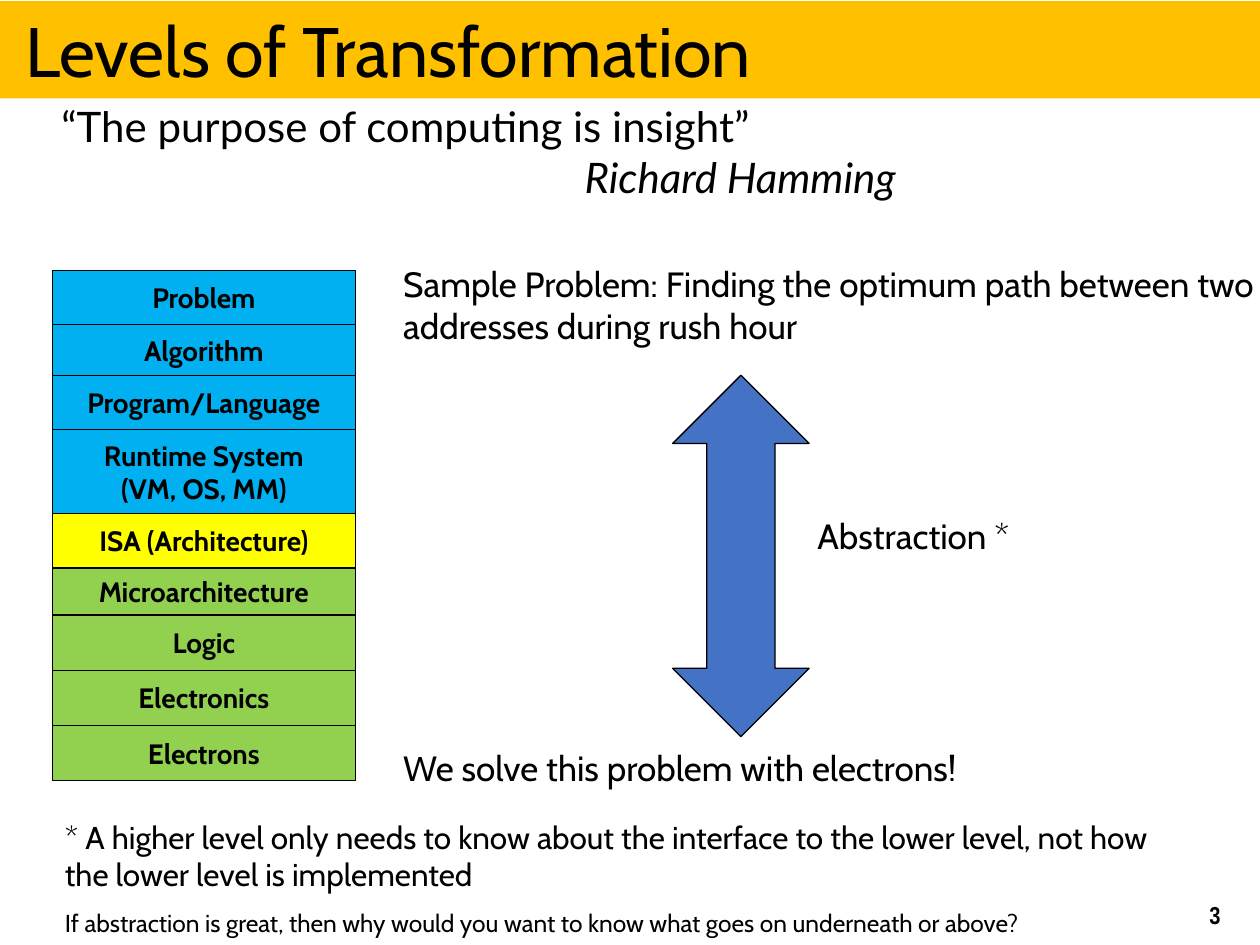
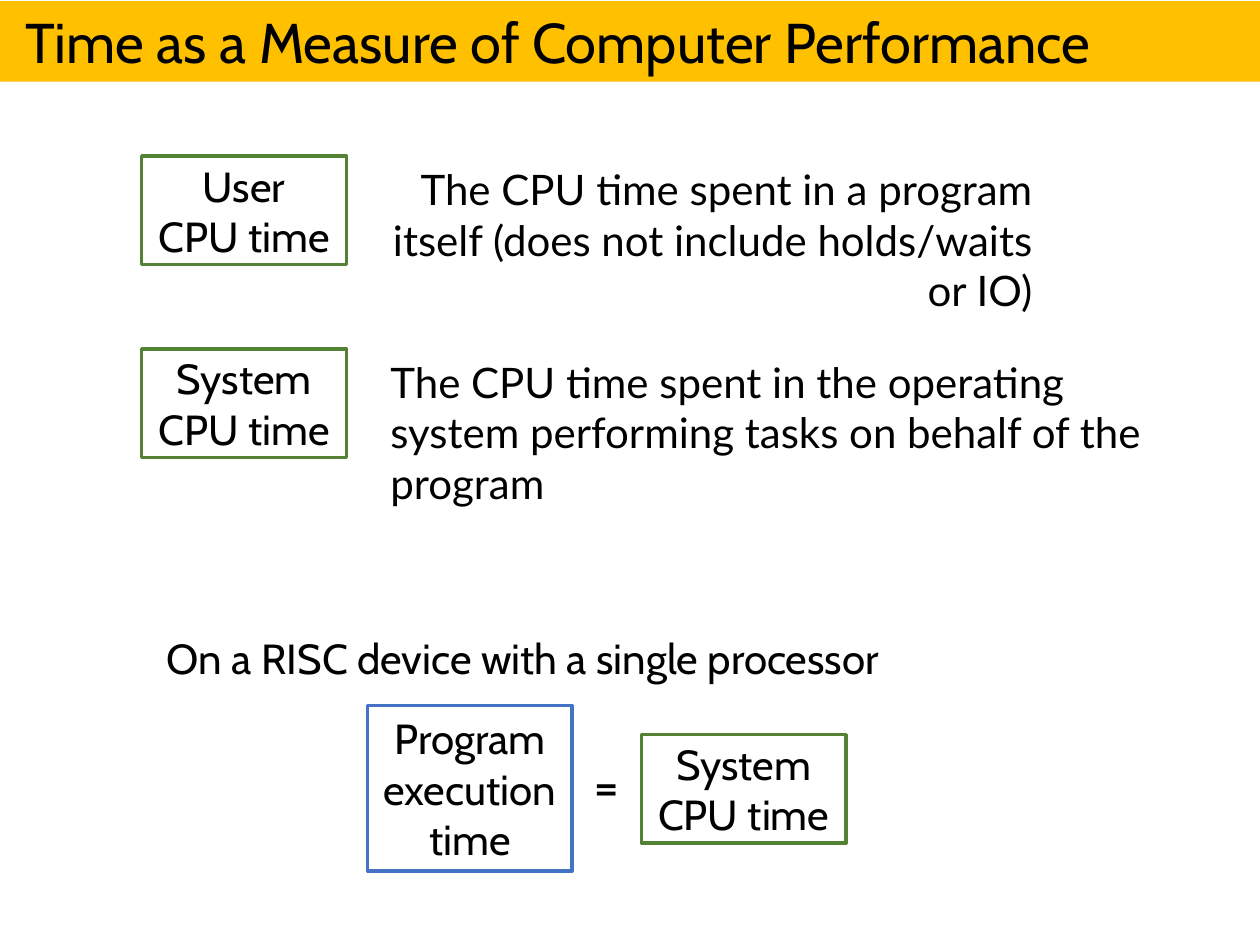
from pptx import Presentation
from pptx.dml.color import RGBColor
from pptx.enum.shapes import MSO_SHAPE
from pptx.enum.text import MSO_ANCHOR, MSO_AUTO_SIZE, PP_ALIGN
from pptx.util import Pt

COLORS = {
    "text": "000000",
    "band": "FFC000",
    "paper": "FFFFFF",
    "software": "00B0F0",
    "interface": "FFFF00",
    "hardware": "92D050",
    "arrow": "4472C4",
    "cpu": "548235",
    "program": "4472C4",
}
HEADING_FONT = "Cabin"
PROSE_FONT = "Lato"
NUMBER_FONT = "Arial Narrow"
PAGE_WIDTH, PAGE_HEIGHT = 720, 540

LEVELS = [
    ("Problem", 31, "software"),
    ("Algorithm", 29, "software"),
    ("Program/Language", 31, "software"),
    ("Runtime System\n(VM, OS, MM)", 48, "software"),
    ("ISA (Architecture)", 31, "interface"),
    ("Microarchitecture", 27, "hardware"),
    ("Logic", 31.5, "hardware"),
    ("Electronics", 31.5, "hardware"),
    ("Electrons", 31.5, "hardware"),
]


def color(name):
    return RGBColor.from_string(COLORS[name])


def write(shape, text, size, font=HEADING_FONT, align=PP_ALIGN.LEFT, bold=False,
          anchor=MSO_ANCHOR.TOP, inset=(7.2, 3.6)):
    frame = shape.text_frame
    frame.text = text
    frame.word_wrap = True
    frame.auto_size = MSO_AUTO_SIZE.NONE
    frame.vertical_anchor = anchor
    frame.margin_left = frame.margin_right = Pt(inset[0])
    frame.margin_top = frame.margin_bottom = Pt(inset[1])
    for para in frame.paragraphs:
        para.alignment = align
        for span in para.runs:
            span.font.name = font
            span.font.size = Pt(size)
            span.font.bold = bold
            span.font.color.rgb = color("text")
    return frame


def add_text(page, box, text, size, **style):
    shape = page.shapes.add_textbox(*map(Pt, box))
    return write(shape, text, size, **style)


def add_block(page, box, fill, line, line_width, kind=MSO_SHAPE.RECTANGLE):
    shape = page.shapes.add_shape(kind, *map(Pt, box))
    shape.shadow.inherit = False
    shape.fill.solid()
    shape.fill.fore_color.rgb = color(fill)
    shape.line.color.rgb = color(line)
    shape.line.width = Pt(line_width)
    return shape


def add_page(deck, title, size, band_height):
    page = deck.slides.add_slide(deck.slide_layouts[5])
    band = page.shapes.title
    band.left, band.top = Pt(0), Pt(0.7)
    band.width, band.height = Pt(PAGE_WIDTH), Pt(band_height)
    band.fill.solid()
    band.fill.fore_color.rgb = color("band")
    write(band, title, size, anchor=MSO_ANCHOR.MIDDLE, inset=(14.4, 3.6))
    return page


def add_quote(page, box):
    frame = add_text(page, box, "“The purpose of computing is insight”\nRichard Hamming",
                     24, font=PROSE_FONT)
    author = frame.paragraphs[1]
    author.alignment = PP_ALIGN.RIGHT
    author.runs[0].font.italic = True


def add_level_stack(page, left, top, width):
    for label, height, layer in LEVELS:
        level = add_block(page, (left, top, width, height), layer, "text", 0.75)
        write(level, label, 16, align=PP_ALIGN.CENTER, bold=True,
              anchor=MSO_ANCHOR.MIDDLE, inset=(7.2, 0))
        top += height


def add_abstraction(page, left, top, width):
    add_text(page, (left, top, width, 56),
             "Sample Problem: Finding the optimum path between two addresses during rush hour",
             20, inset=(0, 3.6))
    add_block(page, (left + 154, top + 68, 78, 206.5), "arrow", "text", 0.75,
              MSO_SHAPE.UP_DOWN_ARROW)
    add_text(page, (left + 229.6, top + 144, 201, 32), "Abstraction *", 20)
    add_text(page, (left, top + 276.5, width, 32),
             "We solve this problem with electrons!", 20, inset=(0, 3.6))


def add_footnotes(page, left, top, width):
    add_text(page, (left, top, width, 51),
             "* A higher level only needs to know about the interface to the lower level, "
             "not how the lower level is implemented", 18)
    add_text(page, (left, top + 51.8, width, 24.5),
             "If abstraction is great, then why would you want to know what goes on "
             "underneath or above?", 14)
    add_text(page, (684, 511, 30, 24), "3", 14, font=NUMBER_FONT, bold=True)


def add_time_box(page, left, top, text, line="cpu", height=62):
    box = add_block(page, (left, top, 117, height), "paper", line, 2)
    write(box, text, 24, align=PP_ALIGN.CENTER, anchor=MSO_ANCHOR.MIDDLE)


def add_definition(page, left, top, term, meaning, meaning_box, align):
    add_time_box(page, left, top, term)
    offset, width = meaning_box
    add_text(page, (left + offset, top + 0.7, width, 95), meaning, 24,
             font=PROSE_FONT, align=align)


def add_equation(page, left, top):
    frame = add_text(page, (left, top, PAGE_WIDTH - left, 50),
                     "On a RISC device with a single processor", 24, inset=(14.4, 10.8))
    frame.paragraphs[0].line_spacing = 1.1
    add_time_box(page, left + 129, top + 55.4, "Program execution time", "program", 94.5)
    add_text(page, (left + 252, top + 84.2, 27, 36), "=", 24, font=PROSE_FONT,
             align=PP_ALIGN.CENTER, bold=True, inset=(0, 3.6))
    add_time_box(page, left + 285.5, top + 72, "System\nCPU time")


def build_levels_page(deck):
    page = add_page(deck, "Levels of Transformation", 40, 55.5)
    add_quote(page, (28, 54, 491, 65.5))
    add_level_stack(page, 30, 154.5, 173)
    add_abstraction(page, 230.4, 146.4, PAGE_WIDTH - 230.4)
    add_footnotes(page, 30, 463.7, 644)


def build_time_page(deck):
    page = add_page(deck, "Time as a Measure of Computer Performance", 32, 46)
    add_definition(page, 81, 89.3, "User\nCPU time",
                   "The CPU time spent in a program itself (does not include holds/waits or IO)",
                   (117, 399), PP_ALIGN.RIGHT)
    add_definition(page, 81, 199.4, "System\nCPU time",
                   "The CPU time spent in the operating system performing tasks on behalf "
                   "of the program", (135, 444), PP_ALIGN.LEFT)
    add_equation(page, 81, 347.8)


def main():
    deck = Presentation()
    deck.slide_width, deck.slide_height = Pt(PAGE_WIDTH), Pt(PAGE_HEIGHT)
    build_levels_page(deck)
    build_time_page(deck)
    deck.save("out.pptx")


if __name__ == "__main__":
    main()
